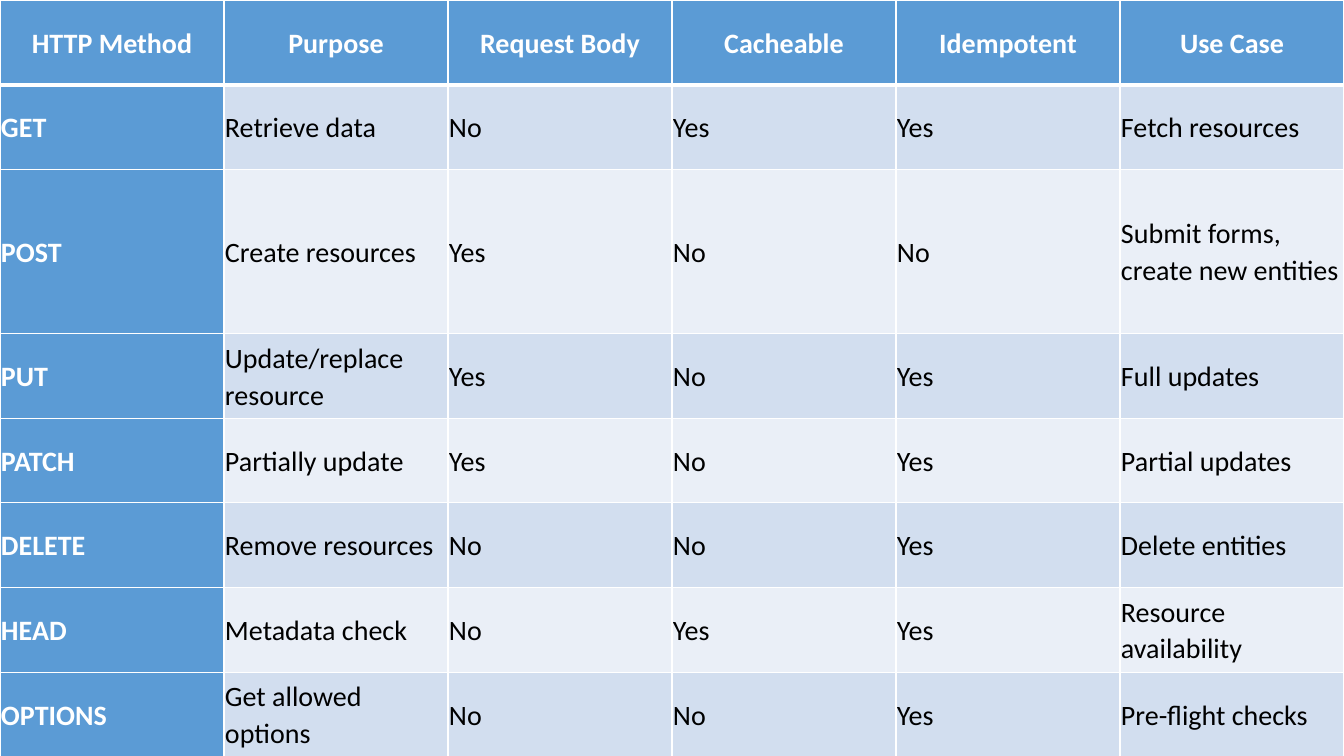
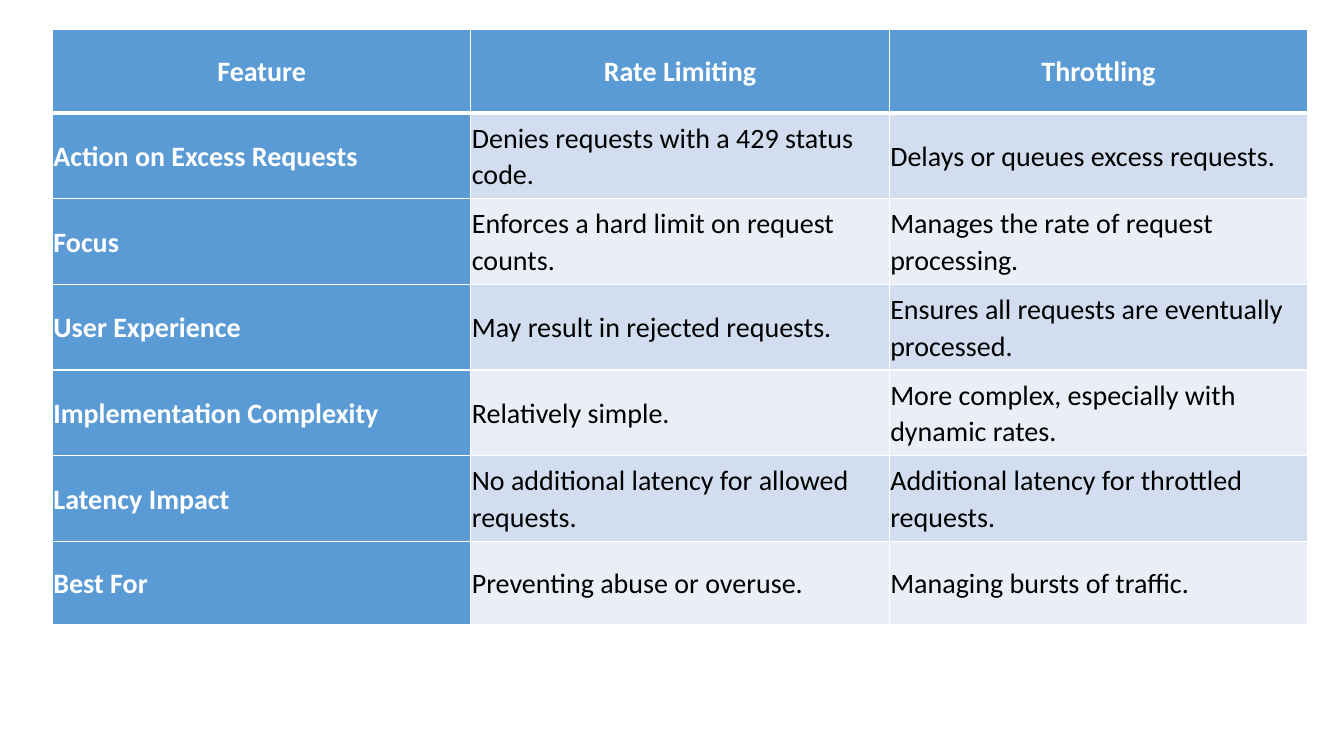
from lxml.etree import SubElement
from pptx import Presentation
from pptx.dml.color import RGBColor
from pptx.enum.text import MSO_ANCHOR, PP_ALIGN
from pptx.oxml.ns import qn
from pptx.util import Inches, Pt

COLORS = {
    "heading": "5B9BD5",
    "odd_row": "D2DEEF",
    "even_row": "EAEFF7",
    "white": "FFFFFF",
    "black": "000000",
}
FONT = "Calibri"
BLANK_LAYOUT = 6

METHODS = [
    ["HTTP Method", "Purpose", "Request Body", "Cacheable", "Idempotent", "Use Case"],
    ["GET", "Retrieve data", "No", "Yes", "Yes", "Fetch resources"],
    ["POST", "Create resources", "Yes", "No", "No", "Submit forms, create new entities"],
    ["PUT", "Update/replace resource", "Yes", "No", "Yes", "Full updates"],
    ["PATCH", "Partially update", "Yes", "No", "Yes", "Partial updates"],
    ["DELETE", "Remove resources", "No", "No", "Yes", "Delete entities"],
    ["HEAD", "Metadata check", "No", "Yes", "Yes", "Resource availability"],
    ["OPTIONS", "Get allowed options", "No", "No", "Yes", "Pre-flight checks"],
]
LIMITS = [
    ["Feature", "Rate Limiting", "Throttling"],
    ["Action on Excess Requests", "Denies requests with a 429 status code.",
     "Delays or queues excess requests."],
    ["Focus", "Enforces a hard limit on request counts.",
     "Manages the rate of request processing."],
    ["User Experience", "May result in rejected requests.",
     "Ensures all requests are eventually processed."],
    ["Implementation Complexity", "Relatively simple.",
     "More complex, especially with dynamic rates."],
    ["Latency Impact", "No additional latency for allowed requests.",
     "Additional latency for throttled requests."],
    ["Best For", "Preventing abuse or overuse.", "Managing bursts of traffic."],
]
# Rows of text, left, top, width, row heights
TABLES = [
    (METHODS, 0, 0, 13.33, [0.84] * 2 + [1.63] + [0.84] * 5),
    (LIMITS, 0.52, 0.29, 12.45, [0.83] + [0.85] * 5 + [0.83]),
]


def set_borders(cell, row_index):
    """Draw white cell borders, with a thick rule under the header row."""
    properties = cell._tc.get_or_add_tcPr()
    top = 3 if row_index == 1 else 1
    bottom = 3 if row_index == 0 else 1
    for side, points in (("L", 1), ("R", 1), ("T", top), ("B", bottom)):
        line = SubElement(properties, qn(f"a:ln{side}"), w=str(Pt(points)))
        fill = SubElement(line, qn("a:solidFill"))
        SubElement(fill, qn("a:srgbClr"), val=COLORS["white"])


def format_cell(cell, text, row_index, column_index):
    is_heading = row_index == 0 or column_index == 0
    band = "odd_row" if row_index % 2 else "even_row"
    set_borders(cell, row_index)
    cell.fill.solid()
    cell.fill.fore_color.rgb = RGBColor.from_string(COLORS["heading" if is_heading else band])
    cell.vertical_anchor = MSO_ANCHOR.MIDDLE
    cell.margin_left = cell.margin_right = Inches(0.01)
    cell.margin_top = cell.margin_bottom = Inches(0.01)

    para = cell.text_frame.paragraphs[0]
    para.text = text
    para.alignment = PP_ALIGN.CENTER if row_index == 0 else PP_ALIGN.LEFT
    para.line_spacing = 1.07
    font = para.runs[0].font
    font.name = FONT
    font.size = Pt(20)
    font.bold = is_heading
    font.color.rgb = RGBColor.from_string(COLORS["white" if is_heading else "black"])


deck = Presentation()
deck.slide_width = Inches(13.33)
deck.slide_height = Inches(7.5)

for rows, left, top, width, heights in TABLES:
    page = deck.slides.add_slide(deck.slide_layouts[BLANK_LAYOUT])
    table = page.shapes.add_table(
        len(rows), len(rows[0]),
        Inches(left), Inches(top), Inches(width), Inches(sum(heights)),
    ).table
    table.first_col = True
    for row_index, (texts, height) in enumerate(zip(rows, heights)):
        table.rows[row_index].height = Inches(height)
        for column_index, text in enumerate(texts):
            format_cell(table.cell(row_index, column_index), text, row_index, column_index)

deck.save("out.pptx")
